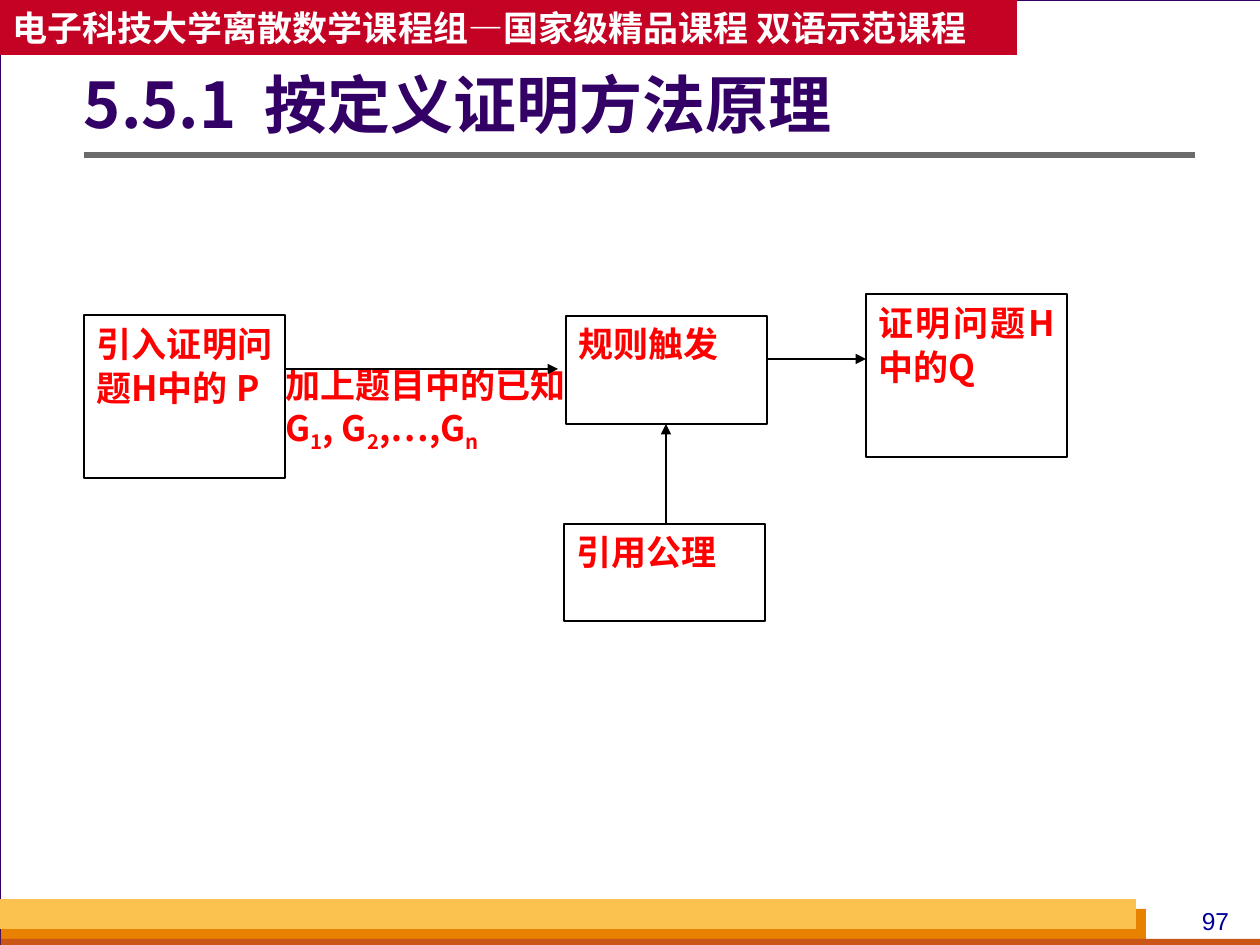
from lxml import etree
from pptx import Presentation
from pptx.dml.color import RGBColor
from pptx.enum.shapes import MSO_CONNECTOR, MSO_SHAPE
from pptx.enum.text import MSO_ANCHOR, PP_ALIGN
from pptx.oxml.ns import qn
from pptx.util import Emu, Pt

RECTANGLE = MSO_SHAPE.RECTANGLE
STRAIGHT = MSO_CONNECTOR.STRAIGHT
TOP, MIDDLE = MSO_ANCHOR.TOP, MSO_ANCHOR.MIDDLE
LEFT, CENTER, JUSTIFY = PP_ALIGN.LEFT, PP_ALIGN.CENTER, PP_ALIGN.JUSTIFY

PX_PER_INCH = 126
CJK_FONT = "Noto Sans CJK SC"
PURPLE, RED, BLACK, WHITE = "330066", "FF0000", "000000", "FFFFFF"


def px(length):
    return Emu(round(length * 914400 / PX_PER_INCH))


def color(code):
    return RGBColor.from_string(code)


class SlideBuilder:
    def __init__(self, slide):
        self.slide = slide

    def rect(self, x, y, w, h, fill, line=None):
        box = self.slide.shapes.add_shape(RECTANGLE, px(x), px(y), px(w), px(h))
        box.shadow.inherit = False
        box.fill.solid()
        box.fill.fore_color.rgb = color(fill)
        if line:
            box.line.color.rgb = color(line)
            box.line.width = Pt(0.75)
        else:
            box.line.fill.background()
        return box

    def label(self, x, y, w, h):
        return self.slide.shapes.add_textbox(px(x), px(y), px(w), px(h))

    def add_text(self, box, text, size=20, ink=RED, font=CJK_FONT, bold=True,
                 align=JUSTIFY, anchor=TOP, wrap=True, spacing=None):
        """Fill a box with text; the character after '_' becomes a subscript."""
        frame = box.text_frame
        frame.word_wrap = wrap
        frame.vertical_anchor = anchor
        for number, row in enumerate(text.split("\n")):
            para = frame.add_paragraph() if number else frame.paragraphs[0]
            para.alignment = align
            if spacing:
                para.line_spacing = spacing
            for index, part in enumerate(row.split("_")):
                pieces = [(part[:1], True), (part[1:], False)] if index else [(part, False)]
                for piece, is_subscript in pieces:
                    if piece:
                        self.span(para, piece, size, ink, font, bold, is_subscript)
        return frame

    def span(self, para, text, size, ink, font, bold, is_subscript):
        span = para.add_run()
        span.text = text
        span.font.size = Pt(size)
        span.font.bold = bold
        span.font.color.rgb = color(ink)
        span.font.name = font
        properties = span._r.get_or_add_rPr()
        etree.SubElement(properties, qn("a:ea"), typeface=font)
        if is_subscript:
            properties.set("baseline", "-25000")

    def line(self, start, end, ink=BLACK, width=0.75, arrow=False):
        line = self.slide.shapes.add_connector(
            STRAIGHT, *(px(value) for value in (*start, *end)))
        line.line.color.rgb = color(ink)
        line.line.width = Pt(width)
        properties = line._element.spPr
        if arrow:
            outline = properties.find(qn("a:ln"))
            etree.SubElement(outline, qn("a:tailEnd"), type="triangle")
        etree.SubElement(properties, qn("a:effectLst"))


def main():
    deck = Presentation()
    deck.slide_width, deck.slide_height = px(1260), px(945)
    page = deck.slides.add_slide(deck.slide_layouts[6])
    page.background.fill.solid()
    page.background.fill.fore_color.rgb = color("D8DADA")
    builder = SlideBuilder(page)

    # Page frame and footer bands
    builder.rect(0, 0, 1261, 945, WHITE, PURPLE)
    builder.rect(1, 909, 1145, 36, "E88000")
    builder.rect(1, 939, 1260, 10, "C95616")
    builder.rect(0, 899, 1136, 30, "FCC24F")

    # Page number
    number = builder.label(1176, 900, 79, 43)
    builder.add_text(number, "97", 14, "000099", "Arial", bold=False, align=CENTER)

    # Course banner, title and rule
    builder.line((84, 155), (1195, 155), "6B6B6B", 3)
    banner = builder.rect(0, 0, 1017, 55, "C30224")
    builder.add_text(banner, "电子科技大学离散数学课程组—国家级精品课程 双语示范课程",
                     ink=WHITE, align=LEFT, anchor=MIDDLE, wrap=False)
    title = builder.label(84, 45, 1111, 127)
    frame = builder.add_text(title, "5.5.1  按定义证明方法原理", 36, PURPLE,
                             align=LEFT, anchor=MIDDLE, spacing=0.9)
    frame.margin_left = 0

    # Known facts beside the first arrow
    facts = builder.rect(273, 353, 334, 162, WHITE, WHITE)
    frame = builder.add_text(facts, "加上题目中的已知\nG_1, G_2,…,G_n")
    frame.margin_top = px(11)
    builder.line((282, 369), (558, 369), arrow=True)

    # Proof steps: text, left, top, height, line spacing
    steps = [
        ("证明问题H中的Q", 866, 294, 163, 1.04),
        ("规则触发", 566, 316, 108, None),
        ("引用公理", 564, 524, 97, None),
        ("引入证明问题H中的 P", 84, 315, 163, 1.04),
    ]
    for text, x, y, height, spacing in steps:
        step = builder.rect(x, y, 201, height, WHITE, BLACK)
        builder.add_text(step, text, spacing=spacing)

    # Arrows from axioms to rules, and from rules to conclusion
    builder.line((666, 524), (666, 424), arrow=True)
    builder.line((767, 359), (866, 359), arrow=True)

    deck.save("out.pptx")


if __name__ == "__main__":
    main()
